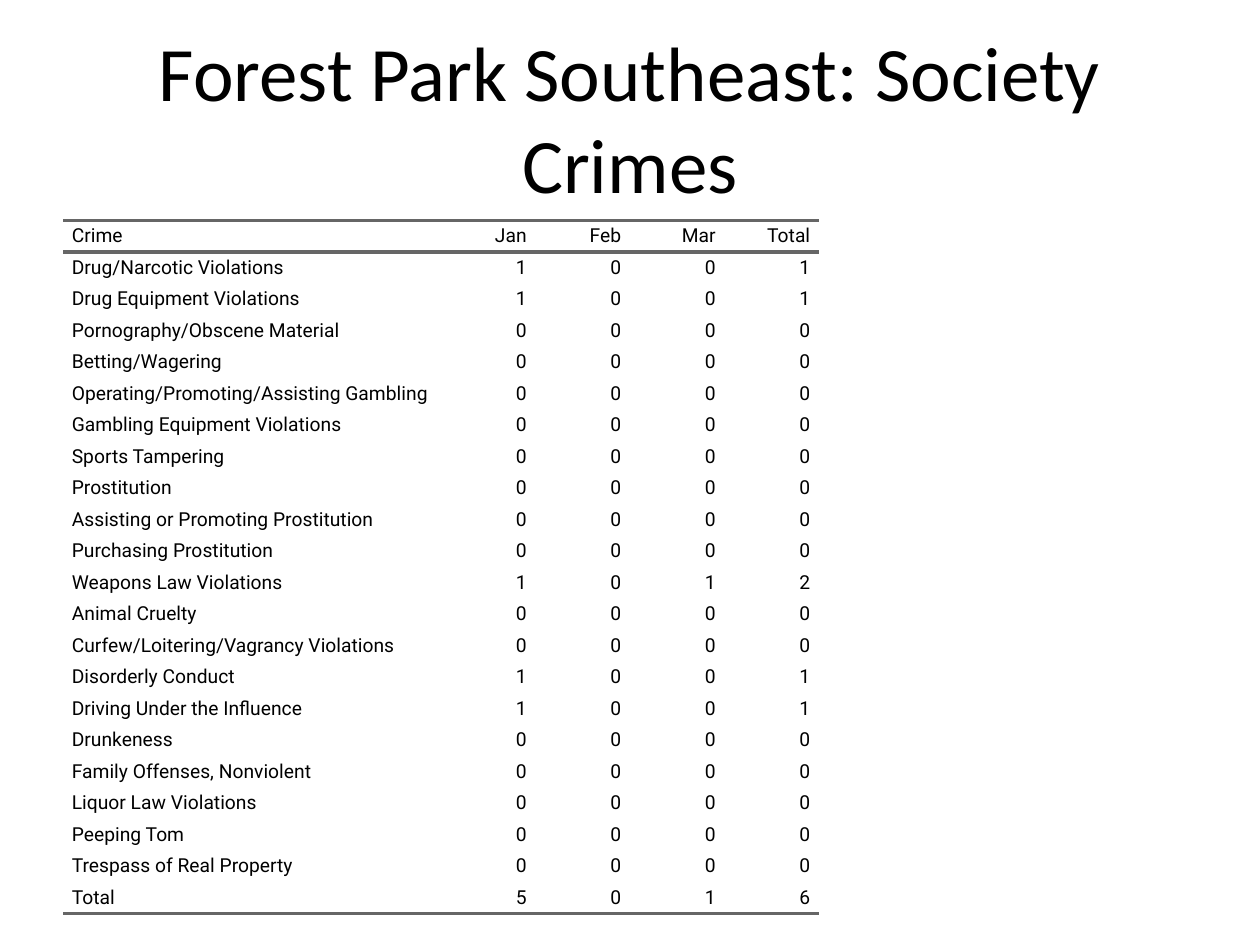
from typing import NamedTuple

from lxml.etree import SubElement
from pptx import Presentation
from pptx.dml.color import RGBColor
from pptx.enum.text import MSO_ANCHOR, MSO_AUTO_SIZE, PP_ALIGN
from pptx.oxml.ns import qn
from pptx.util import Emu, Pt

PX_PER_INCH = 100
BLACK = "000000"
RULE_GREY = "666666"
NO_STYLE = "{2D5ABB26-0587-4C30-8999-92F81FD0307C}"
COLUMN_WIDTHS = (300, 75, 75, 75, 75)
ROW_HEIGHT = 25
CELL_PADDING = 7
HEADINGS = ("Crime", "Jan", "Feb", "Mar", "Total")


class Crime(NamedTuple):
    """One offence and its monthly counts."""

    name: str
    jan: int = 0
    feb: int = 0
    mar: int = 0

    def cells(self) -> tuple[str, ...]:
        """Return the row's texts, ending with its sum."""
        counts = self[1:]
        return (self.name, *map(str, counts), str(sum(counts)))


CRIMES = (
    Crime("Drug/Narcotic Violations", jan=1),
    Crime("Drug Equipment Violations", jan=1),
    Crime("Pornography/Obscene Material"),
    Crime("Betting/Wagering"),
    Crime("Operating/Promoting/Assisting Gambling"),
    Crime("Gambling Equipment Violations"),
    Crime("Sports Tampering"),
    Crime("Prostitution"),
    Crime("Assisting or Promoting Prostitution"),
    Crime("Purchasing Prostitution"),
    Crime("Weapons Law Violations", jan=1, mar=1),
    Crime("Animal Cruelty"),
    Crime("Curfew/Loitering/Vagrancy Violations"),
    Crime("Disorderly Conduct", jan=1),
    Crime("Driving Under the Influence", jan=1),
    Crime("Drunkeness"),
    Crime("Family Offenses, Nonviolent"),
    Crime("Liquor Law Violations"),
    Crime("Peeping Tom"),
    Crime("Trespass of Real Property"),
)


def px(length: int) -> Emu:
    """Turn pixels into EMU."""
    return Emu(length * 914400 // PX_PER_INCH)


def color(value: str) -> RGBColor:
    """Turn a hex string into a colour."""
    return RGBColor.from_string(value)


def format_text(frame, font: str, size: int, align: PP_ALIGN) -> None:
    """Format the single paragraph of a text frame."""
    para = frame.paragraphs[0]
    para.alignment = align
    for span in para.runs:
        span.font.name = font
        span.font.size = Pt(size)
        span.font.color.rgb = color(BLACK)


def add_rule(cell, side: str) -> None:
    """Draw a grey border on one side of a cell."""
    line = SubElement(cell._tc.get_or_add_tcPr(), qn(f"a:{side}"), w=str(Pt(2)))
    fill = SubElement(line, qn("a:solidFill"))
    SubElement(fill, qn("a:srgbClr"), val=RULE_GREY)


def fill_cell(cell, text: str, align: PP_ALIGN, rules: tuple[str, ...]) -> None:
    """Write and format one table cell."""
    cell.text_frame.text = text
    cell.vertical_anchor = MSO_ANCHOR.MIDDLE
    cell.margin_top = cell.margin_bottom = 0
    cell.margin_left = cell.margin_right = px(CELL_PADDING)
    format_text(cell.text_frame, "Roboto", 11, align)
    for side in rules:
        add_rule(cell, side)
    cell.fill.background()


def add_crime_table(slide) -> None:
    """Add the table of crimes with its header and total rows."""
    monthly = zip(*(crime[1:] for crime in CRIMES))
    total = Crime("Total", *map(sum, monthly))
    rows = [HEADINGS, *(crime.cells() for crime in (*CRIMES, total))]
    frame = slide.shapes.add_table(
        len(rows), len(HEADINGS), px(50), px(175),
        px(sum(COLUMN_WIDTHS)), px(ROW_HEIGHT * len(rows)),
    )
    table = frame.table
    table.first_row = table.horz_banding = False
    next(frame.element.iter(qn("a:tableStyleId"))).text = NO_STYLE
    for column, width in zip(table.columns, COLUMN_WIDTHS):
        column.width = px(width)
    rules = {0: ("lnT", "lnB"), len(rows) - 1: ("lnB",)}
    for row_index, texts in enumerate(rows):
        table.rows[row_index].height = px(ROW_HEIGHT)
        for column_index, text in enumerate(texts):
            align = PP_ALIGN.RIGHT if column_index else PP_ALIGN.LEFT
            cell = table.cell(row_index, column_index)
            fill_cell(cell, text, align, rules.get(row_index, ()))


def set_title(slide, text: str) -> None:
    """Place and format the slide title in front."""
    title = slide.shapes.title
    title.left, title.top, title.width, title.height = map(px, (50, 30, 900, 125))
    frame = title.text_frame
    frame.text = text
    frame.word_wrap = True
    frame.auto_size = MSO_AUTO_SIZE.NONE
    frame.vertical_anchor = MSO_ANCHOR.MIDDLE
    format_text(frame, "Calibri", 44, PP_ALIGN.CENTER)
    title.element.getparent().append(title.element)


def main() -> None:
    """Build and save the deck."""
    deck = Presentation()
    deck.slide_width, deck.slide_height = px(1000), px(750)
    slide = deck.slides.add_slide(deck.slide_layouts[5])
    add_crime_table(slide)
    set_title(slide, "Forest Park Southeast: Society Crimes")
    deck.save("out.pptx")


if __name__ == "__main__":
    main()
